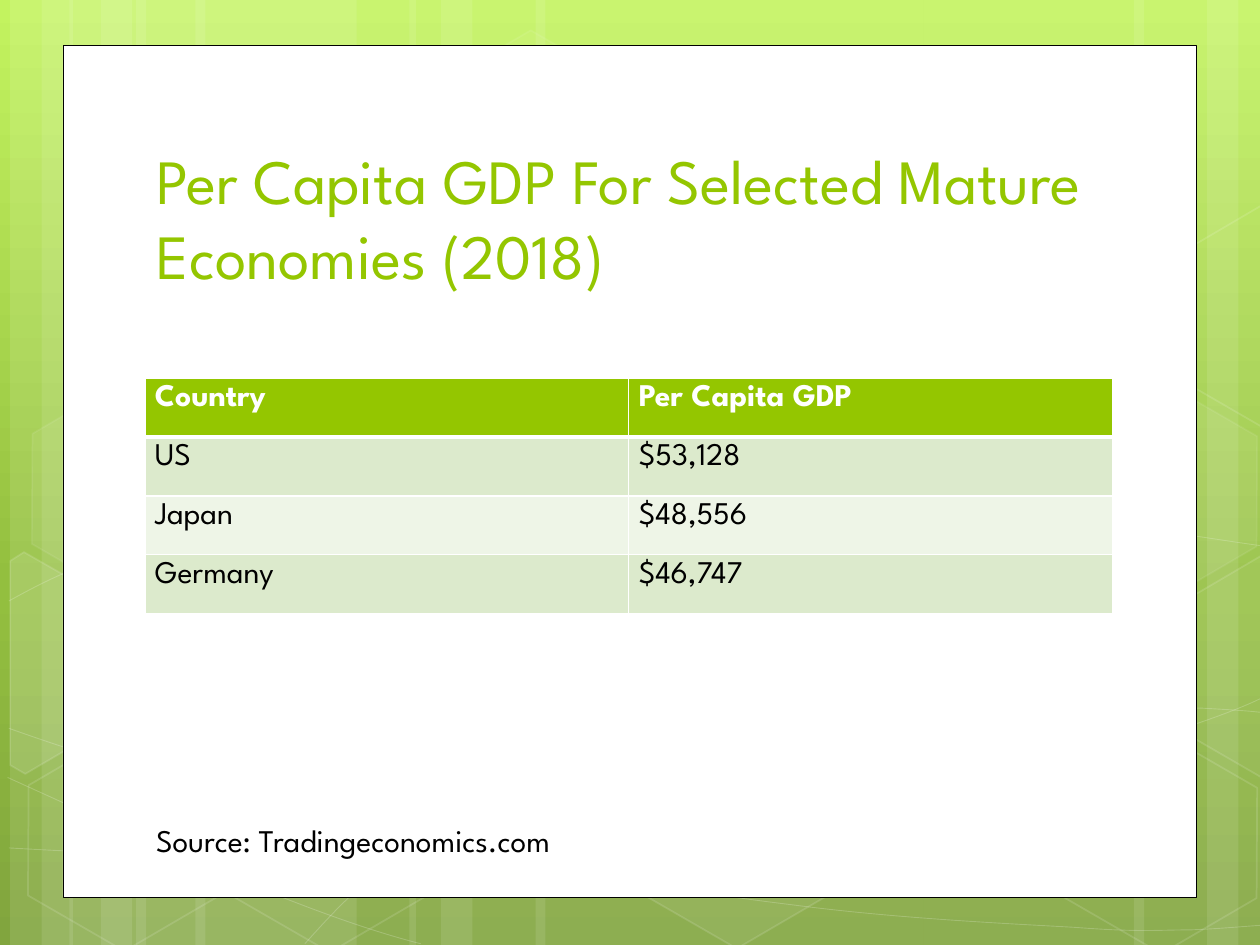
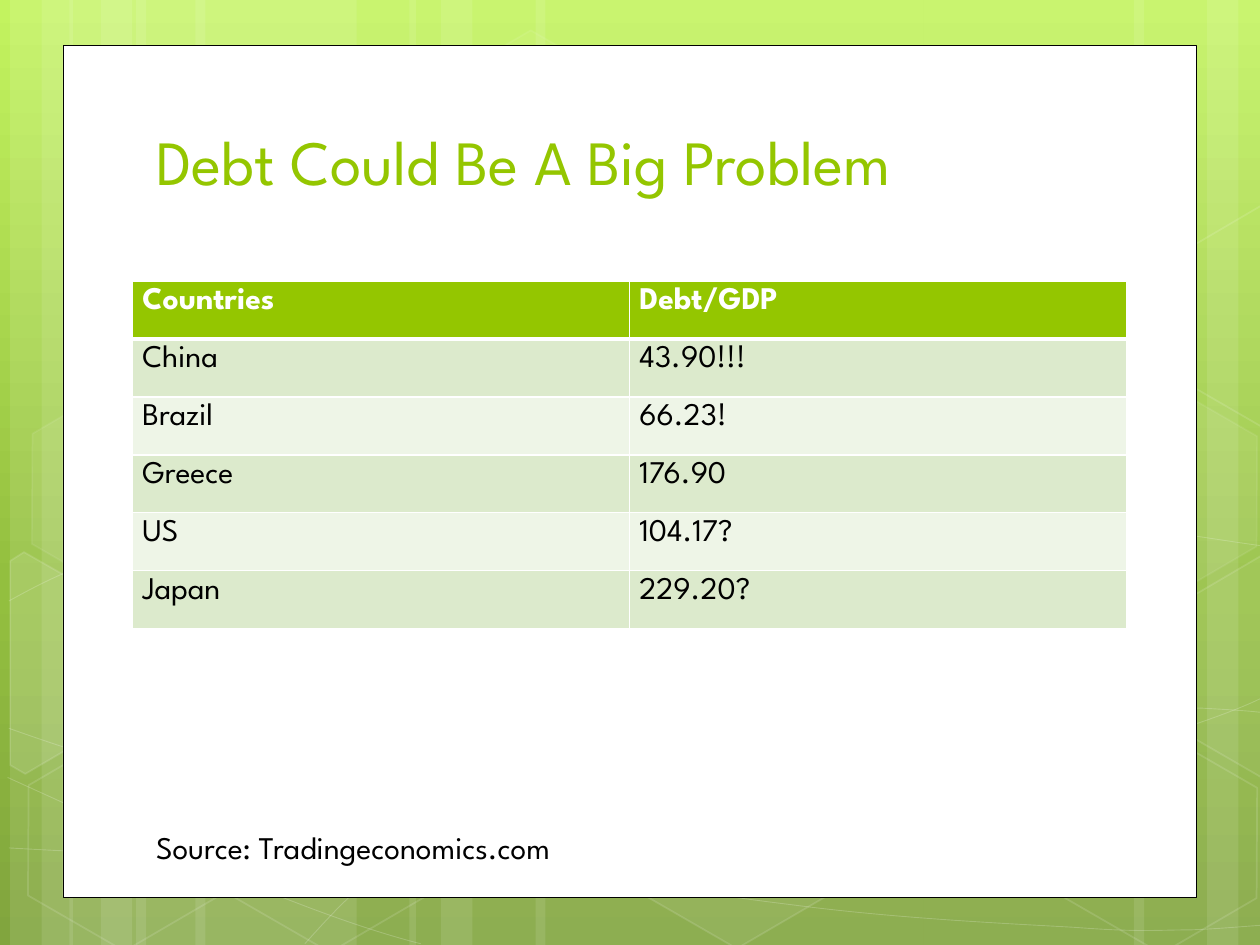
from copy import deepcopy
from math import cos, radians, sin

from lxml.etree import SubElement
from pptx import Presentation
from pptx.dml.color import RGBColor
from pptx.enum.shapes import MSO_SHAPE as Shape
from pptx.enum.text import MSO_ANCHOR as Anchor, MSO_AUTO_SIZE as AutoSize, PP_ALIGN as Align
from pptx.oxml.ns import qn
from pptx.util import Inches, Pt

WHITE = RGBColor(0xFF, 0xFF, 0xFF)
BLACK = RGBColor(0x00, 0x00, 0x00)
LIME = RGBColor(0x94, 0xC6, 0x00)
BAND_DARK = RGBColor(0xDC, 0xEA, 0xCC)
BAND_LIGHT = RGBColor(0xEE, 0xF5, 0xE7)
BACKDROP_STOPS = [
    (0, RGBColor(0xC3, 0xF3, 0x5F)),
    (0.62, RGBColor(0x93, 0xBF, 0x3F)),
    (1, RGBColor(0x81, 0xA5, 0x3E)),
]
FONT = "League Spartan"
WIDTH, HEIGHT = 10, 7.5
TILT = 30

STRIPES = [
    (1.08, 1.75), (0.08, 0.5), (0.33, 0.83), (1.55, 1.75), (0.55, 0.5), (0.8, 0.83),
    (7.33, 1.75), (9.58, 0.5), (9, 0.83), (4.25, 3.08), (3.25, 0.5), (3.5, 0.83),
]

CURVES = [
    [(0.07, 6.73), (0.61, 6.76), (1.15, 6.79), (1.9, 6.78), (2.65, 6.77), (3.58, 6.75),
     (4.58, 6.65), (5.58, 6.55), (7, 6.36), (7.92, 6.17), (8.83, 5.98), (9.77, 5.68),
     (10.07, 5.51)],
    [(0.07, 4.77), (0.36, 4.61), (0.65, 4.46), (1.21, 4.31), (1.78, 4.16), (2.59, 3.94),
     (3.47, 3.87), (4.36, 3.8), (5.44, 3.79), (6.54, 3.87), (7.64, 3.95), (9.47, 4.26),
     (10.07, 4.34)],
    [(0.06, 6.17), (1.27, 6.72), (2.47, 7.27), (3.34, 7.49)],
    [(0.07, 5.78), (0.38, 5.89), (0.7, 6), (1.28, 6.16), (1.86, 6.31), (2.73, 6.56),
     (3.57, 6.73), (4.4, 6.9), (5.45, 7.08), (6.28, 7.18), (7.11, 7.29), (8, 7.33),
     (8.53, 7.36), (9.05, 7.4), (9.19, 7.38), (9.45, 7.38), (9.71, 7.37), (9.89, 7.35),
     (10.07, 7.34)],
    [(2.42, 7.49), (2.6, 7.29), (2.78, 7.09), (3.02, 6.91), (3.26, 6.73), (3.6, 6.53),
     (3.88, 6.39), (4.16, 6.25), (4.33, 6.19), (4.7, 6.09), (5.06, 5.99), (5.73, 5.85),
     (6.08, 5.78), (6.44, 5.71), (6.49, 5.71), (6.8, 5.69), (7.11, 5.66), (7.6, 5.63),
     (7.94, 5.62), (8.29, 5.61), (8.86, 5.62), (8.86, 5.62), (9.08, 5.62), (9.31, 5.62),
     (9.53, 5.62), (9.71, 5.63), (9.88, 5.64), (9.97, 5.65), (10.06, 5.66), (10.03, 5.65),
     (10.06, 5.66)],
]

HEXAGONS = [
    (3.34, 0.36, 4, 8), (4.97, 5.89, 6, 12), (0.11, 5.91, 0, 12), (0.14, 3.12, 7, 8),
    (1.74, 5.92, 0, 12), (7.53, 4.53, 10, 12), (8.34, 5.93, 0, 12), (8.34, 3.14, 7, 8),
]

CUT_HEXAGONS = [
    ((0.36, 5.35), 10,
     [(0.08, 4.45), (0.19, 4.38), (0.96, 4.82), (0.95, 5.7), (0.2, 6.14), (0.08, 6.07)]),
    ((9.85, 5.2), 4,
     [(9.26, 4.85), (10.01, 4.41), (10.09, 4.46), (10.09, 6.13), (10.02, 6.17), (9.26, 5.73)]),
    ((9.85, 2.41), 0,
     [(9.26, 2.07), (10.01, 1.63), (10.1, 1.68), (10.09, 3.35), (10.02, 3.39), (9.26, 2.95)]),
]


def set_opacity(shape, query, percent):
    for colour in shape.element.spPr.xpath(query):
        SubElement(colour, qn("a:alpha"), val=str(percent * 1000))


def paint_veil(shape, fill_percent=0, line_percent=0, line_width=1):
    shape.shadow.inherit = False
    if fill_percent:
        shape.fill.solid()
        shape.fill.fore_color.rgb = WHITE
        set_opacity(shape, "./a:solidFill/a:srgbClr", fill_percent)
    else:
        shape.fill.background()
    if line_percent:
        shape.line.color.rgb = WHITE
        shape.line.width = Pt(line_width)
        set_opacity(shape, "./a:ln/a:solidFill/a:srgbClr", line_percent)
    else:
        shape.line.fill.background()


def add_outline(page, points, close):
    start, *rest = [(Inches(x), Inches(y)) for x, y in points]
    builder = page.shapes.build_freeform(*start)
    builder.add_line_segments(rest, close=close)
    return builder.convert_to_shape()


def add_curve(page, knots):
    curve = add_outline(page, knots, False)
    outline = curve.element.find(".//" + qn("a:path"))
    segments = outline.findall(qn("a:lnTo"))
    for first in range(0, len(segments), 3):
        bend = SubElement(outline, qn("a:cubicBezTo"))
        for segment in segments[first:first + 3]:
            bend.append(segment[0])
            outline.remove(segment)
    return curve


def turn_back(points, centre):
    across, down = centre
    cosine, sine = cos(radians(TILT)), sin(radians(TILT))
    return [
        (across + (x - across) * cosine + (y - down) * sine,
         down - (x - across) * sine + (y - down) * cosine)
        for x, y in points
    ]


def add_box(page, kind, left, top, width, height):
    return page.shapes.add_shape(kind, Inches(left), Inches(top), Inches(width), Inches(height))


def draw_backdrop(page):
    for left, width in STRIPES:
        paint_veil(add_box(page, Shape.RECTANGLE, left, 0, width, HEIGHT), 10)
    for knots in CURVES:
        paint_veil(add_curve(page, knots), 0, 20, 0.5)
    for left, top, fill_percent, line_percent in HEXAGONS:
        hexagon = add_box(page, Shape.HEXAGON, left, top, 1.75, 1.52)
        hexagon.adjustments[0] = 0.285
        hexagon.rotation = TILT
        paint_veil(hexagon, fill_percent, line_percent)
    for centre, fill_percent, points in CUT_HEXAGONS:
        hexagon = add_outline(page, turn_back(points, centre), True)
        hexagon.rotation = TILT
        paint_veil(hexagon, fill_percent, 12)
    panel = add_box(page, Shape.RECTANGLE, 0.5, 0.36, 9, 6.76)
    panel.shadow.inherit = False
    panel.fill.solid()
    panel.fill.fore_color.rgb = WHITE
    panel.line.color.rgb = BLACK
    panel.line.width = Pt(0.5)


def fill_background(layout):
    fill = layout.background.fill
    fill.gradient()
    stop_list = layout.element.find(".//" + qn("a:gsLst"))
    stop_list.append(deepcopy(stop_list[-1]))
    for stop, (position, colour) in zip(fill.gradient_stops, BACKDROP_STOPS):
        stop.position = position
        stop.color.rgb = colour
    fill.gradient_angle = 270


def share_backdrop(page):
    layout = page.slide_layout
    fill_background(layout)
    draw_backdrop(page)
    layout_tree = layout.shapes.element
    for shape in list(page.shapes):
        if not shape.is_placeholder:
            layout_tree.append(shape.element)


def add_span(para, text, size, colour, bold=False):
    span = para.add_run()
    span.text = text
    span.font.name = FONT
    span.font.size = Pt(size)
    span.font.bold = bold
    span.font.color.rgb = colour


def place_title(page, text, top, height):
    title = page.shapes.title
    title.left, title.top = Inches(1.14), Inches(top)
    title.width, title.height = Inches(7.68), Inches(height)
    frame = title.text_frame
    frame.auto_size = AutoSize.NONE
    frame.word_wrap = True
    frame.vertical_anchor = Anchor.BOTTOM
    para = frame.paragraphs[0]
    para.alignment = Align.LEFT
    add_span(para, text, 36, LIME)


def add_borders(cell, top, bottom):
    properties = cell._tc.get_or_add_tcPr()
    for edge, width in (("lnL", 1), ("lnR", 1), ("lnT", top), ("lnB", bottom)):
        line = SubElement(properties, qn("a:" + edge), w=str(Pt(width)))
        paint = SubElement(line, qn("a:solidFill"))
        SubElement(paint, qn("a:srgbClr"), val=str(WHITE))


def add_country_table(page, rows, left, top, width, height):
    table = page.shapes.add_table(
        len(rows), len(rows[0]), Inches(left), Inches(top), Inches(width), Inches(height)
    ).table
    table.horz_banding = False
    for row, values in enumerate(rows):
        header = row == 0
        for column, value in enumerate(values):
            cell = table.cell(row, column)
            cell.margin_left = cell.margin_right = Inches(0.08)
            add_borders(cell, 3 if row == 1 else 1, 3 if header else 1)
            cell.fill.solid()
            cell.fill.fore_color.rgb = LIME if header else BAND_DARK if row % 2 else BAND_LIGHT
            add_span(cell.text_frame.paragraphs[0], value, 18, WHITE if header else BLACK, header)


def add_source(page, top):
    box = page.shapes.add_textbox(Inches(1.14), Inches(top), Inches(3.4), Inches(0.4))
    box.text_frame.word_wrap = False
    box.text_frame.auto_size = AutoSize.SHAPE_TO_FIT_TEXT
    add_span(box.text_frame.paragraphs[0], "Source: Tradingeconomics.com", 18, BLACK)


def build_gdp(page):
    place_title(page, "Per Capita GDP For Selected Mature Economies (2018)", 1.12, 1.25)
    rows = [
        ("Country", "Per Capita GDP"),
        ("US", "$53,128"),
        ("Japan", "$48,556"),
        ("Germany", "$46,747"),
    ]
    add_country_table(page, rows, 1.15, 3, 7.68, 1.87)
    add_source(page, 6.47)


def build_debt(page):
    place_title(page, "Debt Could Be A Big Problem", 0.86, 0.76)
    rows = [
        ("Countries", "Debt/GDP"),
        ("China", "43.90!!!"),
        ("Brazil", "66.23!"),
        ("Greece", "176.90"),
        ("US", "104.17?"),
        ("Japan", "229.20?"),
    ]
    add_country_table(page, rows, 1.05, 2.23, 7.89, 2.76)
    add_source(page, 6.52)


def main():
    deck = Presentation()
    deck.slide_width, deck.slide_height = Inches(WIDTH), Inches(HEIGHT)
    title_only = deck.slide_layouts[5]
    gdp_page, debt_page = [deck.slides.add_slide(title_only) for _ in range(2)]
    share_backdrop(gdp_page)
    build_gdp(gdp_page)
    build_debt(debt_page)
    deck.save("out.pptx")


if __name__ == "__main__":
    main()
